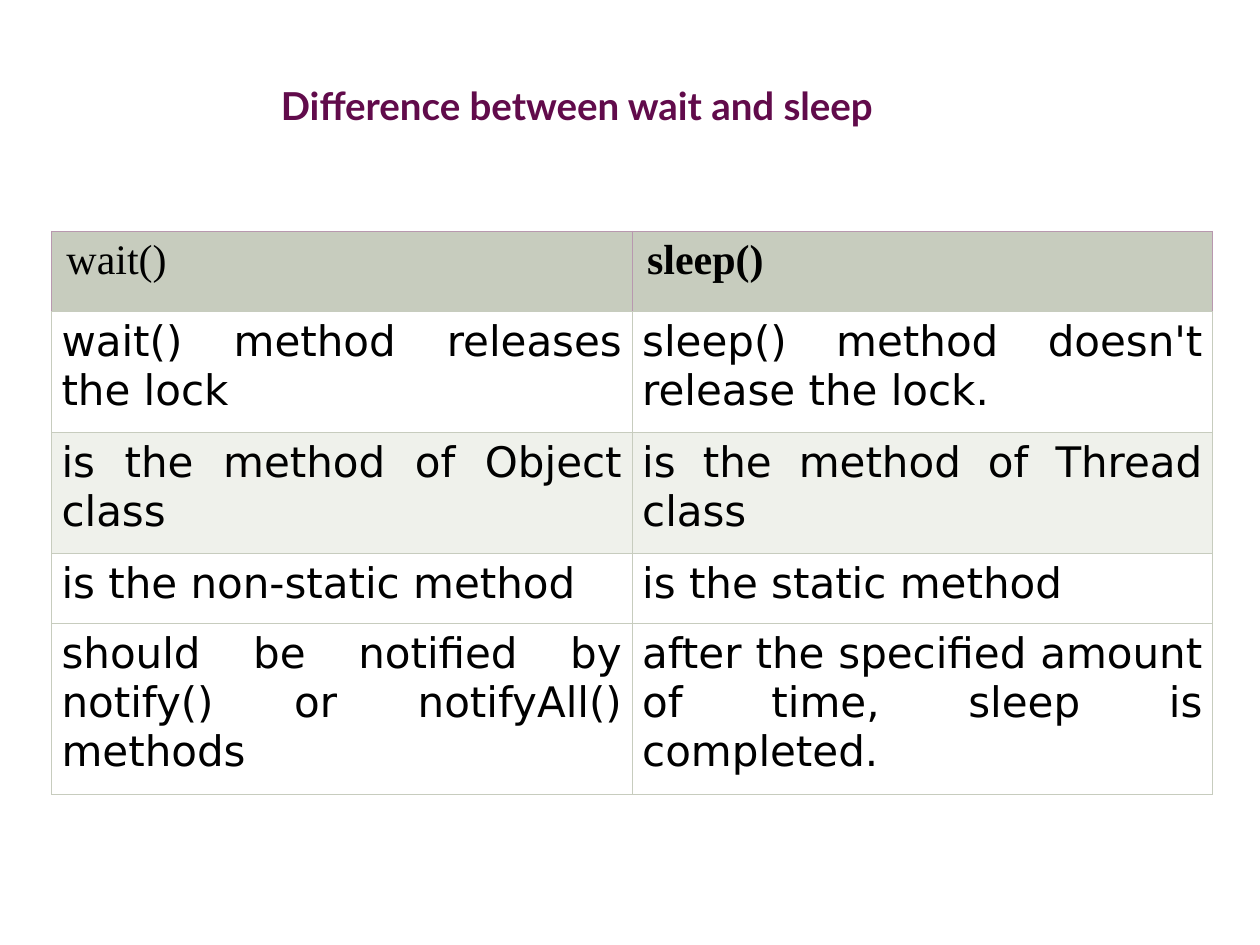
import pptx
import pptx.dml.color
import pptx.enum.text
import pptx.oxml
import pptx.oxml.ns
import pptx.util

Pt = pptx.util.Pt
ALIGN = pptx.enum.text.PP_ALIGN

COLORS = {
    "title": "610B4B",
    "text": "000000",
    "header": "C7CCBE",
    "plain": "FFFFFF",
    "band": "EFF1EB",
    "grid": "C7CCBE",
    "header_edge": "B898AF",
}

ROW_HEIGHTS = [46, 69.2, 69.2, 40, 97.6]
COLUMN_WIDTH = 331.8

ROWS = [
    ("wait()", "sleep()"),
    ("wait() method releases the lock", "sleep() method doesn't release the lock."),
    ("is the method of Object class", "is the method of Thread class"),
    ("is the non-static method", "is the static method"),
    ("should be notified by notify() or notifyAll() methods",
     "after the specified amount of time, sleep is completed."),
]


def rgb(name):
    return pptx.dml.color.RGBColor.from_string(COLORS[name])


def write(tf, text, font, size, color, bold, align):
    p = tf.paragraphs[0]
    p.text = text
    p.alignment = align
    p.font.name = font
    p.font.size = Pt(size)
    p.font.bold = bold
    p.font.color.rgb = rgb(color)


def set_borders(cell, colors):
    tc_pr = cell._tc.get_or_add_tcPr()
    for i, (side, color) in enumerate(zip("LRTB", colors)):
        ln = pptx.oxml.parse_xml(
            f'<a:ln{side} {pptx.oxml.ns.nsdecls("a")} w="{Pt(0.34)}">'
            f'<a:solidFill><a:srgbClr val="{COLORS[color]}"/></a:solidFill>'
            f'</a:ln{side}>'
        )
        tc_pr.insert(i, ln)


def style_cell(cell, text, fill, margin, edges, font, bold, align):
    cell.margin_left = cell.margin_right = Pt(margin)
    cell.margin_top = cell.margin_bottom = Pt(3.6)
    cell.fill.solid()
    cell.fill.fore_color.rgb = rgb(fill)
    set_borders(cell, edges)
    write(cell.text_frame, text, font, 24, "text", bold, align)


def add_title(s, text):
    sp = s.shapes.add_textbox(Pt(153.4), Pt(43.2), Pt(394.6), Pt(33.8))
    tf = sp.text_frame
    tf.word_wrap = False
    tf.auto_size = pptx.enum.text.MSO_AUTO_SIZE.SHAPE_TO_FIT_TEXT
    write(tf, text, "Lato", 22, "title", True, ALIGN.JUSTIFY)


def add_comparison(s, rows):
    frame = s.shapes.add_table(len(rows), 2, Pt(29.4), Pt(132),
                               Pt(2 * COLUMN_WIDTH), Pt(sum(ROW_HEIGHTS)))
    table = frame.table
    for column in table.columns:
        column.width = Pt(COLUMN_WIDTH)
    for i, (texts, height) in enumerate(zip(rows, ROW_HEIGHTS)):
        table.rows[i].height = Pt(height)
        for j, text in enumerate(texts):
            cell = table.cell(i, j)
            if i == 0:
                style_cell(cell, text, "header", 8.6, ["header_edge"] * 3 + ["grid"],
                           "Times New Roman", j == 1, ALIGN.LEFT)
            else:
                style_cell(cell, text, "band" if i == 2 else "plain", 5.8, ["grid"] * 4,
                           "DejaVu Sans", False, ALIGN.JUSTIFY)


def main():
    prs = pptx.Presentation()
    prs.slide_width, prs.slide_height = Pt(720), Pt(540)
    s = prs.slides.add_slide(prs.slide_layouts[6])
    add_title(s, "Difference between wait and sleep")
    add_comparison(s, ROWS)
    prs.save("out.pptx")


if __name__ == "__main__":
    main()
